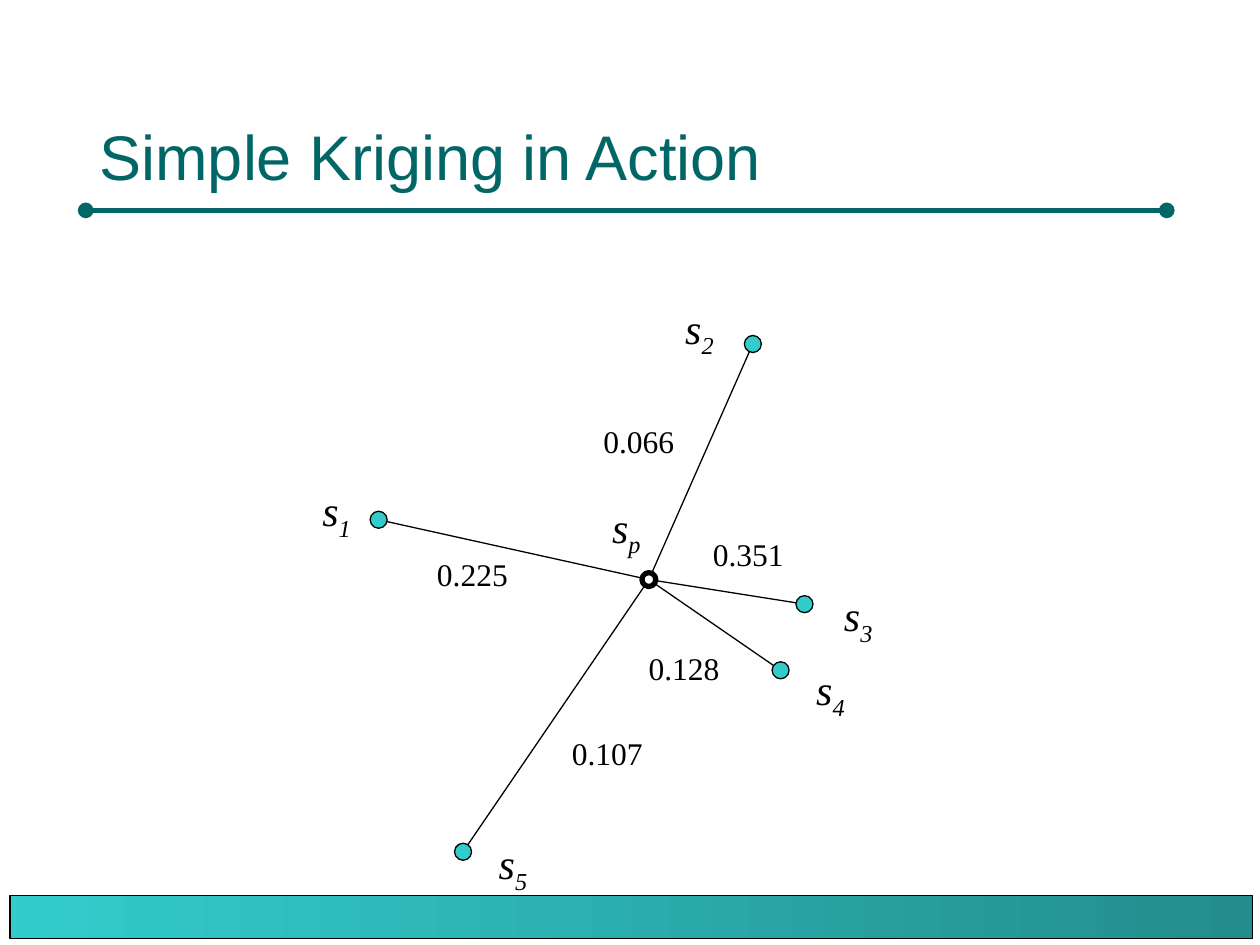
import math
from lxml import etree
from pptx import Presentation
from pptx import util as u
from pptx.dml.color import RGBColor
from pptx.enum import shapes, text
from pptx.oxml.ns import qn

COLORS = {"teal": "006666", "aqua": "33CCCC", "deep": "238D8D", "ink": "000000"}
COLS, ROWS = 100, 75
WIDTH, HEIGHT = u.Inches(10), u.Inches(7.5)
SPOT, RING = 1.35, 1.1
SPOT_GAP, RING_GAP = 0.65, 0.6
NAME_SIZE, WEIGHT_SIZE = (5, 5.6), (8, 4)
TARGET = (27.5, 23)
TARGET_LABEL = ("p", (23.6, 16.3))
SAMPLES = [
    ("1", (6.05, 18.25), (0.6, 15), "0.225", (9.7, 20.6)),
    ("2", (35.75, 4.3), (29.4, 0.5), "0.066", (22.9, 10)),
    ("3", (39.85, 24.95), (42, 23.3), "0.351", (31.6, 19)),
    ("4", (37.95, 30.2), (39.8, 29.2), "0.128", (26.5, 28)),
    ("5", (12.75, 44.6), (14.6, 43), "0.107", (20.4, 34.8)),
]
NAME_FONT = {"name": "Times New Roman", "size": u.Pt(24), "italic": True}
WEIGHT_FONT = {"name": "Times New Roman", "size": u.Pt(18), "italic": False}
TITLE_FONT = {"name": "Arial", "size": u.Pt(36), "bold": False}


def rgb(name):
    return RGBColor.from_string(COLORS[name])


def x(col):
    return round(WIDTH * col / COLS)


def y(row):
    return round(HEIGHT * row / ROWS)


def apply(obj, values):
    for key, value in values.items():
        setattr(obj, key, value)


def set_font(font, values, color="ink"):
    apply(font, values)
    font.color.rgb = rgb(color)


def set_line(line, color="ink", width=0.75):
    line.color.rgb = rgb(color)
    line.width = u.Pt(width)


def add_line(s, start, end, color="ink", width=0.75):
    sp = s.shapes.add_connector(shapes.MSO_CONNECTOR.STRAIGHT,
                                x(start[0]), y(start[1]), x(end[0]), y(end[1]))
    set_line(sp.line, color, width)
    etree.SubElement(sp._element.spPr, qn("a:effectLst"))
    return sp


def add_circle(s, center, size, fill=None, width=0.75):
    sp = s.shapes.add_shape(shapes.MSO_SHAPE.OVAL, x(center[0] - size / 2),
                            y(center[1] - size / 2), x(size), y(size))
    sp.shadow.inherit = False
    if fill:
        sp.fill.solid()
        sp.fill.fore_color.rgb = rgb(fill)
    else:
        sp.fill.background()
    set_line(sp.line, width=width)


def add_label(s, place, size, label, font, subscript=""):
    sp = s.shapes.add_textbox(x(place[0]), y(place[1]), x(size[0]), y(size[1]))
    tf = sp.text_frame
    apply(tf, {"word_wrap": True, "auto_size": text.MSO_AUTO_SIZE.SHAPE_TO_FIT_TEXT})
    p = tf.paragraphs[0]
    for part in filter(None, (label, subscript)):
        r = p.add_run()
        r.text = part
        set_font(r.font, font)
    if subscript:
        r.font._element.set("baseline", "-25000")


def add_title(s, left, top, width, height):
    sp = s.shapes.title
    apply(sp, {"left": x(left), "top": y(top), "width": x(width), "height": y(height)})
    tf = sp.text_frame
    tf.text = "Simple Kriging in Action"
    apply(tf, {"vertical_anchor": text.MSO_ANCHOR.BOTTOM, "word_wrap": True,
               "auto_size": text.MSO_AUTO_SIZE.NONE})
    p = tf.paragraphs[0]
    p.alignment = text.PP_ALIGN.LEFT
    set_font(p.runs[0].font, TITLE_FONT, "teal")


def add_rule(s, left, top, width):
    sp = add_line(s, (left, top), (left + width, top), "teal", 3)
    ln = sp.line._get_or_add_ln()
    for end in ("a:headEnd", "a:tailEnd"):
        etree.SubElement(ln, qn(end), type="oval")


def add_footer(s, left, top, width, height):
    sp = s.shapes.add_shape(shapes.MSO_SHAPE.RECTANGLE, x(left), y(top), x(width), y(height))
    sp.shadow.inherit = False
    sp.fill.gradient()
    sp.fill.gradient_angle = 0
    for stop, (position, color) in zip(sp.fill.gradient_stops, ((0, "aqua"), (1, "deep"))):
        stop.position = position
        stop.color.rgb = rgb(color)
    set_line(sp.line)


def add_kriging_diagram(s, left, top):
    def at(point):
        return left + point[0], top + point[1]

    target = at(TARGET)
    for _, spot, *_ in SAMPLES:
        add_circle(s, at(spot), SPOT, "aqua")
    add_circle(s, target, RING, width=3)
    for name, spot, name_at, weight, weight_at in SAMPLES:
        cx, cy = at(spot)
        dx, dy = target[0] - cx, target[1] - cy
        length = math.hypot(dx, dy)
        start, end = ((cx + dx * share, cy + dy * share)
                      for share in (SPOT_GAP / length, 1 - RING_GAP / length))
        add_line(s, start, end)
        add_label(s, at(name_at), NAME_SIZE, "s", NAME_FONT, name)
        add_label(s, at(weight_at), WEIGHT_SIZE, weight, WEIGHT_FONT)
    name, name_at = TARGET_LABEL
    add_label(s, at(name_at), NAME_SIZE, "s", NAME_FONT, name)


def main():
    prs = Presentation()
    apply(prs, {"slide_width": WIDTH, "slide_height": HEIGHT})
    s = prs.slides.add_slide(prs.slide_layouts[5])
    add_rule(s, 6.8, 16.7, 85.8)
    add_footer(s, 0.8, 71.1, 98.6, 3.4)
    add_title(s, 6.9, 3.3, 85.8, 12.5)
    add_kriging_diagram(s, 24, 23)
    prs.save("out.pptx")


if __name__ == "__main__":
    main()
